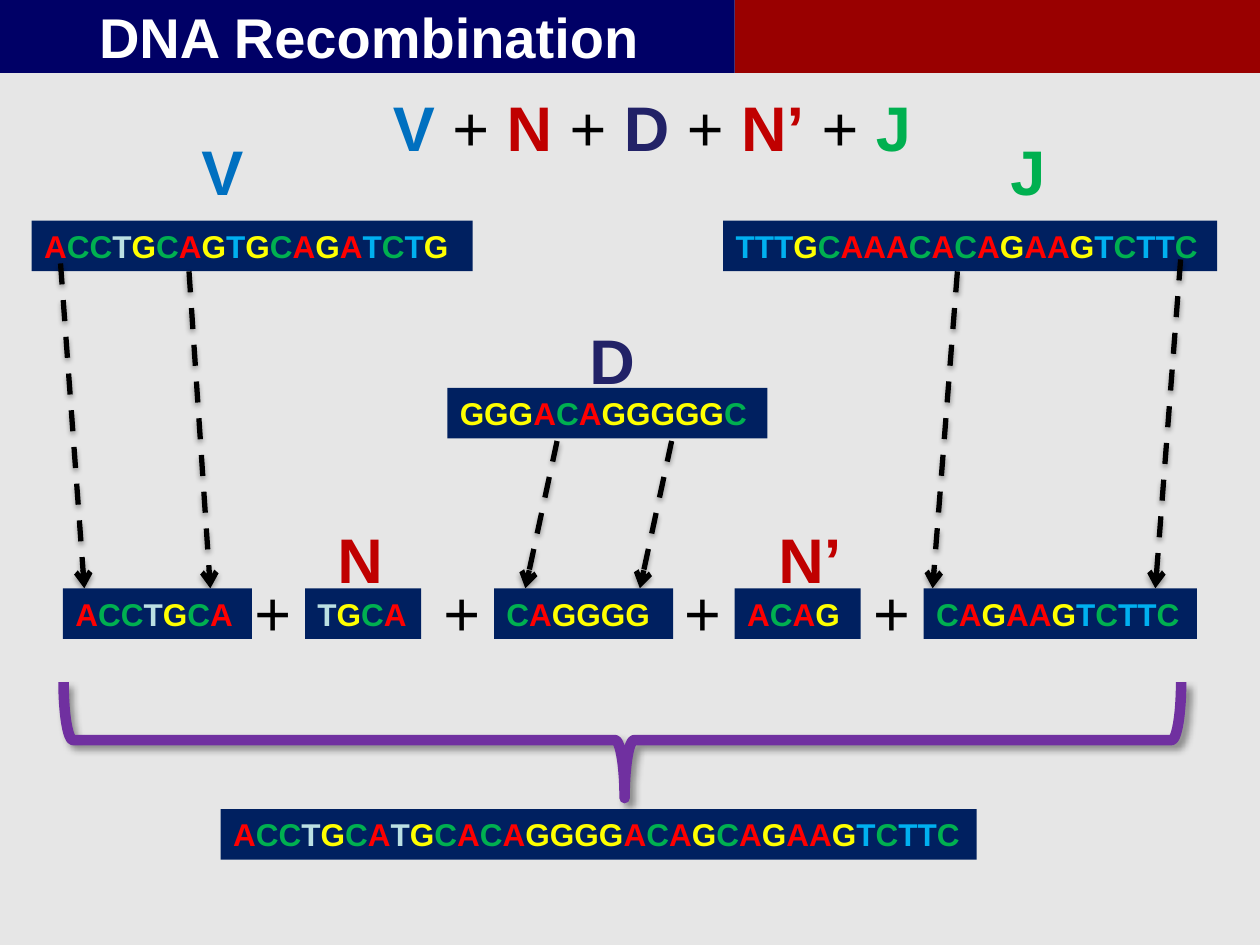
import itertools

import pptx
import pptx.dml.color
import pptx.enum.dml
import pptx.enum.shapes
import pptx.enum.text
import pptx.oxml
import pptx.oxml.ns
import pptx.util

Cm, Pt = pptx.util.Cm, pptx.util.Pt
RGB = pptx.dml.color.RGBColor
SHAPE = pptx.enum.shapes.MSO_SHAPE

BACKGROUND = RGB(0xE6, 0xE6, 0xE6)
BAND_BLUE = RGB(0x00, 0x00, 0x66)
BAND_RED = RGB(0x99, 0x00, 0x00)
STRAND_FILL = RGB(0x00, 0x20, 0x60)
PALE_T = RGB(0xBB, 0xE0, 0xE3)
PURPLE = RGB(0x70, 0x30, 0xA0)
WHITE = RGB(0xFF, 0xFF, 0xFF)
BLACK = RGB(0x00, 0x00, 0x00)
BASES = {
    "A": RGB(0xFF, 0x00, 0x00),
    "C": RGB(0x00, 0xB0, 0x50),
    "G": RGB(0xFF, 0xFF, 0x00),
    "T": RGB(0x00, 0xB0, 0xF0),
}
N_RED = RGB(0xC0, 0x00, 0x00)
SEGMENTS = {
    "V": RGB(0x00, 0x70, 0xC0),
    "N": N_RED,
    "D": RGB(0x22, 0x22, 0x67),
    "N’": N_RED,
    "J": RGB(0x00, 0xB0, 0x50),
}
STRAND_H = 1.02
LABEL_H = 1.8
ROW_TOP = 11.86


def add_shadow(shape, alpha, blur, dist, angle):
    sp_pr = shape._element.spPr
    for old in sp_pr.findall(pptx.oxml.ns.qn("a:effectLst")):
        sp_pr.remove(old)
    sp_pr.append(pptx.oxml.parse_xml(
        f'<a:effectLst {pptx.oxml.ns.nsdecls("a")}>'
        f'<a:outerShdw blurRad="{Pt(blur)}" dist="{Pt(dist)}" dir="{angle * 60000}" rotWithShape="0">'
        f'<a:srgbClr val="000000"><a:alpha val="{alpha * 1000}"/></a:srgbClr>'
        '</a:outerShdw></a:effectLst>'))


def add_rect(s, x, y, w, h, color):
    sp = s.shapes.add_shape(SHAPE.RECTANGLE, Cm(x), Cm(y), Cm(w), Cm(h))
    sp.shadow.inherit = False
    sp.fill.solid()
    sp.fill.fore_color.rgb = color
    sp.line.fill.background()
    return sp


def write_runs(sp, size, runs):
    """Fill a shape with one left-aligned line of (text, colour, bold) runs."""
    tf = sp.text_frame
    tf.word_wrap = True
    tf.auto_size = pptx.enum.text.MSO_AUTO_SIZE.SHAPE_TO_FIT_TEXT
    p = tf.paragraphs[0]
    p.alignment = pptx.enum.text.PP_ALIGN.LEFT
    p.font.name, p.font.size = "Arial", Pt(size)
    for text, color, bold in runs:
        r = p.add_run()
        r.text = text
        r.font.color.rgb = color
        r.font.bold = bold


def add_label(s, x, y, w, *texts):
    sp = s.shapes.add_textbox(Cm(x), Cm(y), Cm(w), Cm(LABEL_H))
    write_runs(sp, 36, [(t, SEGMENTS.get(t, BLACK), t in SEGMENTS) for t in texts])


def add_strand(s, x, y, w, bases, pale=0):
    """Draw a sequence box; the first `pale` T bases get the pale colour."""
    colors = []
    for i, base in enumerate(bases):
        is_pale = base == "T" and bases[:i].count("T") < pale
        colors.append(PALE_T if is_pale else BASES[base])
    runs = []
    for color, group in itertools.groupby(zip(bases, colors), key=lambda pair: pair[1]):
        runs.append(("".join(base for base, _ in group), color, True))
    write_runs(add_rect(s, x, y, w, STRAND_H, STRAND_FILL), 18, runs)


def add_arrow(s, x1, y1, x2, y2):
    line = s.shapes.add_connector(pptx.enum.shapes.MSO_CONNECTOR.STRAIGHT,
                                  Cm(x1), Cm(y1), Cm(x2), Cm(y2))
    line.line.color.rgb = BLACK
    line.line.width = Pt(3)
    line.line.dash_style = pptx.enum.dml.MSO_LINE.DASH
    line.line._get_or_add_ln().append(pptx.oxml.parse_xml(
        f'<a:tailEnd {pptx.oxml.ns.nsdecls("a")} type="arrow"/>'))
    add_shadow(line, 35, 3.1, 1.8, 90)


def add_header(s, x, y, w, h, text):
    split = 14.81
    add_rect(s, x + split, y, w - split, h, BAND_RED)
    add_rect(s, x, y, split, h, BAND_BLUE)
    title = s.shapes.title
    s.shapes._spTree.append(title._element)  # bring in front of the bands
    title.left, title.top = Cm(x), Cm(y - 0.05)
    title.width, title.height = Cm(split + 0.07), Cm(h + 0.08)
    tf = title.text_frame
    tf.text = text
    tf.vertical_anchor = pptx.enum.text.MSO_ANCHOR.MIDDLE
    p = tf.paragraphs[0]
    p.alignment = pptx.enum.text.PP_ALIGN.CENTER
    p.font.name, p.font.size, p.font.bold = "Arial", Pt(32), True
    p.font.color.rgb = WHITE


def add_formula(s, x, y, w):
    texts = [t for name in SEGMENTS for t in (" + ", name)][1:]
    add_label(s, x, y, w, *texts)


def add_gene(s, x, y, w, name, bases, label_at, cuts, pale=0):
    """Draw a gene, its name and the arrows down to the joined row."""
    add_strand(s, x, y, w, bases, pale)
    add_label(s, x + label_at[0], y + label_at[1], 1.45, name)
    for start_x, start_y, end_x in cuts:
        add_arrow(s, x + start_x, y + start_y, x + end_x, ROW_TOP)


def add_joined_row(s, x, y):
    plus_w = 1.27
    # offset, width, bases, pale T count
    parts = [
        (0, 3.81, "ACCTGCA", 1),
        (4.88, 2.34, "TGCA", 1),
        (8.69, 3.61, "CAGGGG", 0),
        (13.54, 2.54, "ACAG", 0),
        (17.35, 5.51, "CAGAAGTCTTC", 0),
    ]
    for dx, w, bases, pale in parts:
        add_strand(s, x + dx, y, w, bases, pale)
        if dx:
            add_label(s, x + dx - plus_w, y - 0.43, plus_w, "+")
    add_label(s, x + 5.28, y - 1.5, 1.7, "N")
    add_label(s, x + 14.17, y - 1.5, 2.11, "N’")


def add_brace(s, x, y, w, h):
    shift = (w - h) / 2  # a right brace turned to point down
    sp = s.shapes.add_shape(SHAPE.RIGHT_BRACE, Cm(x + shift), Cm(y - shift), Cm(h), Cm(w))
    sp.rotation = 90
    sp.adjustments[0], sp.adjustments[1] = 0.083, 0.498
    sp.fill.background()
    sp.line.color.rgb = PURPLE
    sp.line.width = Pt(6)
    add_shadow(sp, 40, 4, 3, 45)


def main():
    prs = pptx.Presentation()
    prs.slide_width, prs.slide_height = Cm(25.4), Cm(19.05)
    s = prs.slides.add_slide(prs.slide_layouts[5])
    s.background.fill.solid()
    s.background.fill.fore_color.rgb = BACKGROUND

    add_header(s, 0, 0, 25.4, 1.47, "DNA Recombination")
    add_formula(s, 7.67, 1.65, 11.71)

    # Germline genes
    add_gene(s, 0.64, 4.45, 8.89, "V", "ACCTGCAGTGCAGATCTG", (3.17, -1.91),
             [(0.58, 0.86, 1.06), (3.17, 1.02, 3.6)], pale=1)
    add_gene(s, 9.02, 7.82, 6.45, "D", "GGGACAGGGGGC", (2.61, -1.47),
             [(2.21, 1.07, 1.57), (4.52, 1.07, 3.88)])
    add_gene(s, 14.58, 4.45, 9.96, "J", "TTTGCAAACACAGAAGTCTTC", (5.54, -1.91),
             [(4.72, 1.02, 4.22), (9.22, 0.78, 8.71)])

    # Joined segments and the resulting sequence
    add_joined_row(s, 1.27, ROW_TOP)
    add_brace(s, 1.28, 13.75, 22.53, 2.34)
    add_strand(s, 4.45, 16.31, 15.24, "ACCTGCATGCACAGGGGACAGCAGAAGTCTTC", pale=2)

    prs.save("out.pptx")


if __name__ == "__main__":
    main()
